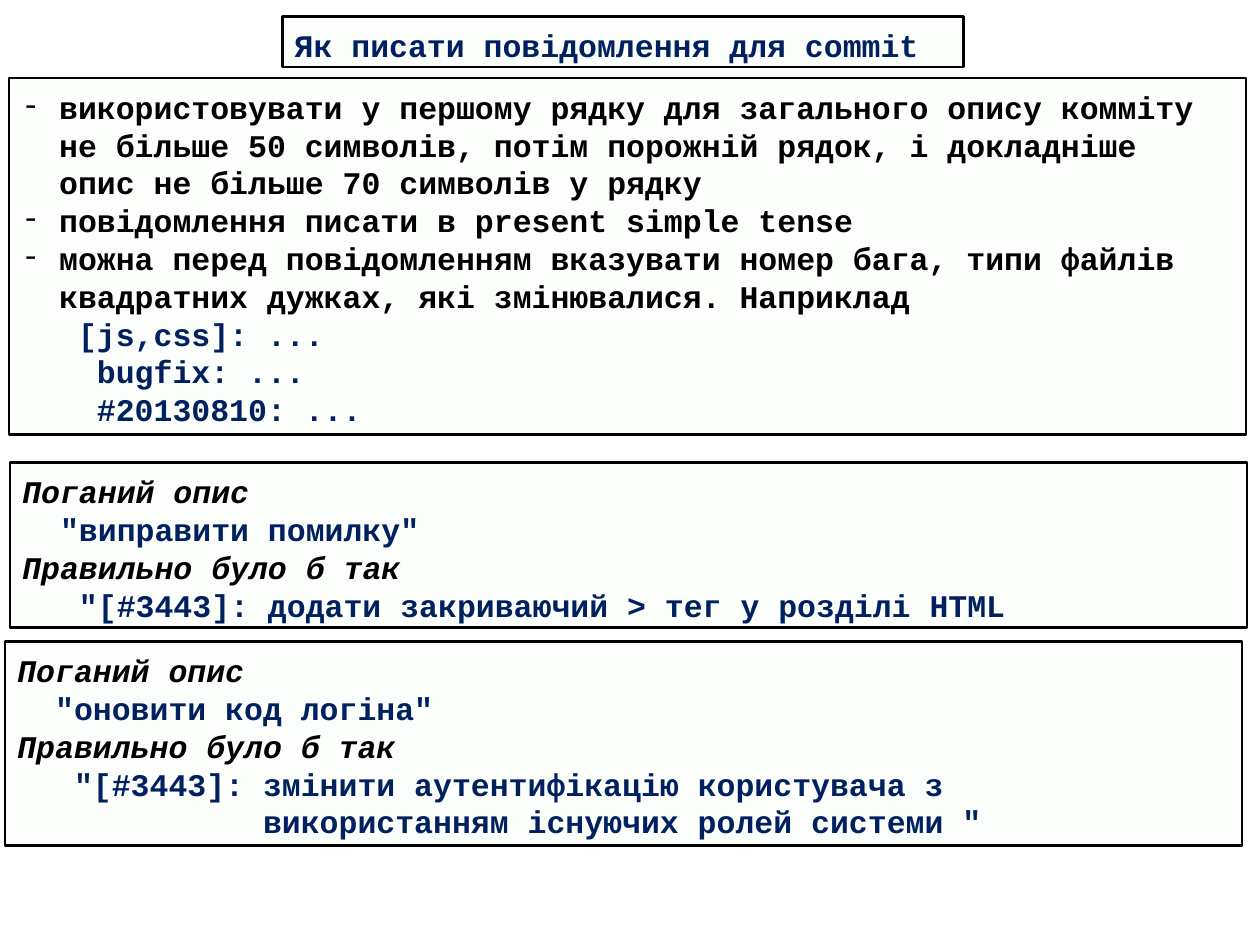
"""Build a slide on how to write commit messages."""
from lxml import etree
from pptx import Presentation
from pptx.dml.color import RGBColor
from pptx.enum.text import MSO_ANCHOR, MSO_AUTO_SIZE, PP_ALIGN
from pptx.oxml.ns import qn
from pptx.util import Cm, Pt

TOP = MSO_ANCHOR.TOP
FIXED = MSO_AUTO_SIZE.NONE
LEFT = PP_ALIGN.LEFT
BLACK = RGBColor(0, 0, 0)
NAVY = RGBColor(0x00, 0x20, 0x60)
GREEN = RGBColor(0xE5, 0xF6, 0xD8)
CHAR = 0.381

FRAME = {
    "word_wrap": True, "auto_size": FIXED, "vertical_anchor": TOP,
    "margin_left": Cm(0.25), "margin_right": Cm(0.25),
    "margin_top": Cm(0.2), "margin_bottom": Cm(0.13),
}
PARA = {
    "alignment": LEFT, "line_spacing": Pt(21.6),
    "space_before": Pt(0), "space_after": Pt(0),
}
FONT = {"name": "Courier New", "size": Pt(18), "bold": True}
STYLES = {
    "title": (0, 0, NAVY, False, None),
    "rule": (2, -2, BLACK, False, "-"),
    "tag": (3, 0, NAVY, False, None),
    "case": (4, 0, NAVY, False, None),
    "head": (0, 0, BLACK, True, None),
    "bad": (2, 0, NAVY, False, None),
    "good": (13, -10, NAVY, False, None),
}


def apply(item, values):
    for name, value in values.items():
        setattr(item, name, value)


def fill_box(box, place, lines):
    box.left, box.top, box.width, box.height = map(Cm, place)
    box.fill.solid()
    box.fill.fore_color.rgb = GREEN
    tint = box._element.spPr.find(".//" + qn("a:srgbClr"))
    etree.SubElement(tint, qn("a:alpha")).set("val", "8000")
    box.line.color.rgb = BLACK
    box.line.width = Pt(1.5)
    frame = box.text_frame
    apply(frame, FRAME)
    for i, (style, text) in enumerate(lines):
        margin, indent, color, slant, mark = STYLES[style]
        para = frame.add_paragraph() if i else frame.paragraphs[0]
        para.text = text
        apply(para, PARA)
        props = para._p.get_or_add_pPr()
        props.set("marL", str(Cm(margin * CHAR)))
        props.set("indent", str(Cm(indent * CHAR)))
        if mark:
            etree.SubElement(props, qn("a:buFont")).set("typeface", FONT["name"])
            etree.SubElement(props, qn("a:buChar")).set("char", mark)
        else:
            etree.SubElement(props, qn("a:buNone"))
        for run in para.runs:
            apply(run.font, FONT)
            run.font.italic = slant
            run.font.color.rgb = color


deck = Presentation()
deck.slide_width, deck.slide_height = Cm(25.4), Cm(19.05)
slide = deck.slides.add_slide(deck.slide_layouts[1])
title, body = slide.placeholders

fill_box(title, (5.69, 0.33, 13.74, 1.02), [
    ("title", "Як писати повідомлення для commit"),
])
fill_box(body, (0.18, 1.57, 24.94, 7.19), [
    ("rule", "використовувати у першому рядку для загального опису комміту\v"
             "не більше 50 символів, потім порожній рядок, і докладніше\v"
             "опис не більше 70 символів у рядку"),
    ("rule", "повідомлення писати в present simple tense"),
    ("rule", "можна перед повідомленням вказувати номер бага, типи файлів\v"
             "квадратних дужках, які змінювалися. Наприклад"),
    ("tag", "[js,css]: ..."),
    ("case", "bugfix: ..."),
    ("case", "#20130810: ..."),
])

SAMPLES = [
    ((0.2, 9.32, 24.94, 3.33), '"виправити помилку"',
     '"[#3443]: додати закриваючий > тег у розділі HTML'),
    ((0.1, 12.93, 24.94, 4.11), '"оновити код логіна"',
     '"[#3443]: змінити аутентифікацію користувача з\v'
     'використанням існуючих ролей системи "'),
]
for place, bad, good in SAMPLES:
    box = slide.shapes.add_textbox(*map(Cm, place))
    fill_box(box, place, [
        ("head", "Поганий опис"),
        ("bad", bad),
        ("head", "Правильно було б так"),
        ("good", good),
    ])

deck.save("out.pptx")
